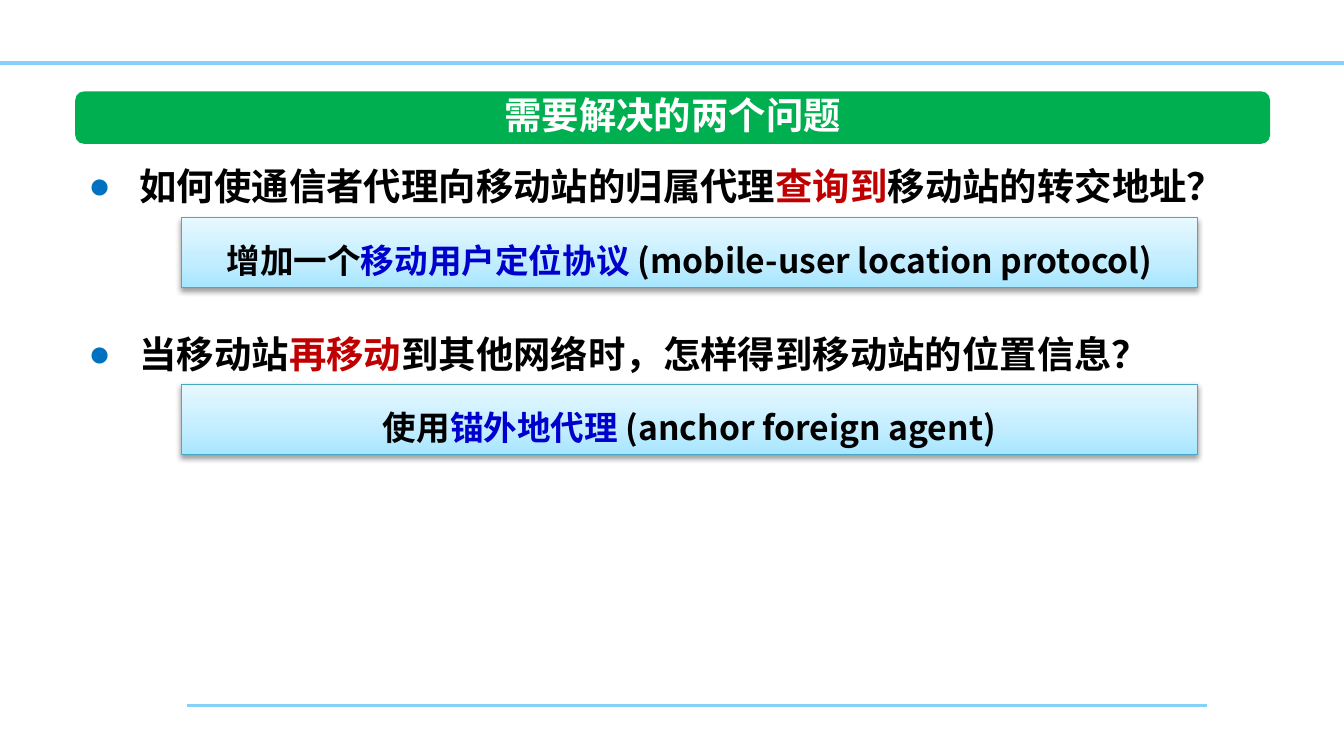
from lxml import etree
from pptx import Presentation
from pptx.dml.color import RGBColor
from pptx.enum.lang import MSO_LANGUAGE_ID
from pptx.enum.shapes import MSO_CONNECTOR, MSO_SHAPE
from pptx.enum.text import MSO_ANCHOR, PP_ALIGN
from pptx.oxml import parse_xml
from pptx.oxml.ns import nsdecls, qn
from pptx.util import Inches, Pt

STRAIGHT = MSO_CONNECTOR.STRAIGHT
RECTANGLE, ROUNDED = MSO_SHAPE.RECTANGLE, MSO_SHAPE.ROUNDED_RECTANGLE
MIDDLE, CENTER = MSO_ANCHOR.MIDDLE, PP_ALIGN.CENTER
CHINESE = MSO_LANGUAGE_ID.SIMPLIFIED_CHINESE
SLIDE_WIDTH = Inches(10)
SLIDE_HEIGHT = SLIDE_WIDTH * 9 // 16
FONT, BULLET_FONT = "Noto Sans CJK SC", "Arial"
BLACK, WHITE, RED, BLUE = "000000", "FFFFFF", "C00000", "0000CC"
RULE_COLOR, BANNER_COLOR, BULLET_COLOR = "85D1F7", "00B050", "0070C0"
ANSWER_BORDER = "46AAC5"
ANSWER_STOPS = [(0, "A7E6FF"), (35, "C1EDFF"), (100, "E7F8FF")]
LINE_SPACING = Pt(30)

QUESTIONS = [
    [("如何使通信者代理向移动站的归属代理", BLACK), ("查询到", RED),
     ("移动站的转交地址？", BLACK)],
    [("当移动站", BLACK), ("再移动", RED),
     ("到其他网络时，怎样得到移动站的位置信息？", BLACK)],
]
ANSWERS = [
    [("增加一个", BLACK), ("移动用户定位协议 ", BLUE),
     ("(mobile-user location protocol)", BLACK)],
    [("使用", BLACK), ("锚外地代理 ", BLUE),
     ("(anchor foreign agent)", BLACK)],
]


def color(value):
    return RGBColor.from_string(value)


def set_format(target, formats):
    for name, value in formats.items():
        setattr(target, name, value)


def add_runs(paragraph, pieces, size):
    for text, run_color in pieces:
        run = paragraph.add_run()
        run.text = text
        set_format(run.font, {"name": FONT, "size": Pt(size), "bold": True,
                              "language_id": CHINESE})
        run.font.color.rgb = color(run_color)
        latin = run.font._element.find(qn("a:latin"))
        latin.addnext(parse_xml(f'<a:ea {nsdecls("a")} typeface="{FONT}"/>'))


def add_bullet(paragraph):
    properties = paragraph._p.get_or_add_pPr()
    properties.set("marL", str(Inches(0.38)))
    properties.set("indent", str(Inches(-0.38)))
    bullet_color = etree.SubElement(properties, qn("a:buClr"))
    etree.SubElement(bullet_color, qn("a:srgbClr"), val=BULLET_COLOR)
    etree.SubElement(properties, qn("a:buFont"), typeface=BULLET_FONT)
    etree.SubElement(properties, qn("a:buChar"), char="●")


def add_rule(slide, left, right, y, width):
    rule = slide.shapes.add_connector(
        STRAIGHT, Inches(left), Inches(y), Inches(right), Inches(y))
    rule.line.color.rgb = color(RULE_COLOR)
    rule.line.width = Pt(width)
    etree.SubElement(rule._element.spPr, qn("a:effectLst"))


def add_banner(slide, title):
    banner = slide.shapes.add_shape(
        ROUNDED, Inches(0.56), Inches(0.68), Inches(8.89), Inches(0.39))
    banner.shadow.inherit = False
    banner.fill.solid()
    banner.fill.fore_color.rgb = color(BANNER_COLOR)
    banner.line.fill.background()
    heading = slide.shapes.add_textbox(
        Inches(3.61), Inches(0.64), Inches(2.79), Inches(0.44))
    heading.text_frame.word_wrap = False
    paragraph = heading.text_frame.paragraphs[0]
    paragraph.alignment = CENTER
    add_runs(paragraph, [(title, WHITE)], 20)


def add_questions(slide, questions):
    box = slide.shapes.add_textbox(
        Inches(0.56), Inches(1.08), Inches(8.89), Inches(1.78))
    frame = box.text_frame
    frame.word_wrap = True
    for index, pieces in enumerate(questions):
        paragraph = frame.add_paragraph() if index else frame.paragraphs[0]
        add_bullet(paragraph)
        paragraph.line_spacing = LINE_SPACING
        if index:
            paragraph.space_before = 2 * LINE_SPACING
        add_runs(paragraph, pieces, 20)


def fill_gradient(shape, stops):
    shape.fill.gradient()
    shape.fill.gradient_angle = 90
    stop_list = shape._element.spPr.find(qn("a:gradFill")).find(qn("a:gsLst"))
    for old_stop in list(stop_list):
        stop_list.remove(old_stop)
    for percent, value in stops:
        stop = etree.SubElement(stop_list, qn("a:gs"), pos=str(percent * 1000))
        etree.SubElement(stop, qn("a:srgbClr"), val=value)


def add_shadow(shape):
    shape.shadow.inherit = False
    effects = shape._element.spPr.find(qn("a:effectLst"))
    shadow = etree.SubElement(
        effects, qn("a:outerShdw"), blurRad=str(Pt(3.1)), dist=str(Pt(1.6)),
        dir="5400000", rotWithShape="0")
    shade = etree.SubElement(shadow, qn("a:srgbClr"), val=BLACK)
    etree.SubElement(shade, qn("a:alpha"), val="38000")


def add_answer(slide, top, pieces):
    answer = slide.shapes.add_shape(
        RECTANGLE, Inches(1.35), Inches(top), Inches(7.56), Inches(0.52))
    fill_gradient(answer, ANSWER_STOPS)
    answer.line.color.rgb = color(ANSWER_BORDER)
    answer.line.width = Pt(0.75)
    add_shadow(answer)
    set_format(answer.text_frame, {"word_wrap": True, "vertical_anchor": MIDDLE})
    paragraph = answer.text_frame.paragraphs[0]
    set_format(paragraph, {"alignment": CENTER, "line_spacing": LINE_SPACING})
    add_runs(paragraph, pieces, 18)


def main():
    presentation = Presentation()
    set_format(presentation, {"slide_width": SLIDE_WIDTH,
                              "slide_height": SLIDE_HEIGHT})
    slide = presentation.slides.add_slide(presentation.slide_layouts[6])
    add_rule(slide, 1.39, 8.98, 5.25, 1.5)
    add_rule(slide, 0, 10, 0.47, 2)
    add_questions(slide, QUESTIONS)
    add_banner(slide, "需要解决的两个问题")
    for index, pieces in enumerate(ANSWERS):
        add_answer(slide, 1.62 + 1.24 * index, pieces)
    presentation.save("out.pptx")


if __name__ == "__main__":
    main()
